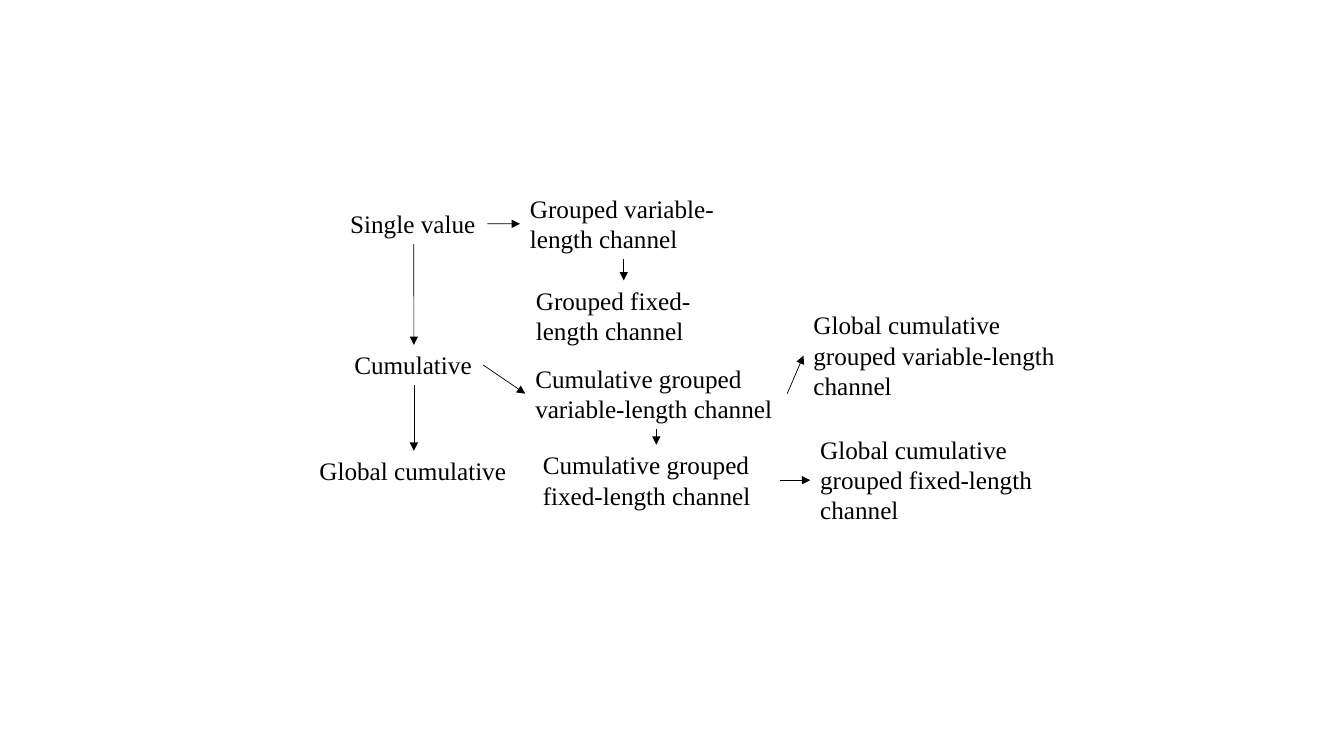
from dataclasses import dataclass

import pptx
import pptx.dml.color
import pptx.enum.shapes
import pptx.enum.text
import pptx.oxml
import pptx.oxml.ns
import pptx.shapes.autoshape
import pptx.slide
import pptx.util

BLACK = pptx.dml.color.RGBColor(0x00, 0x00, 0x00)
FONT = "Times New Roman"
LINE_HEIGHT, PADDING = 0.77, 0.25  # cm
TOP, LEFT, BOTTOM, RIGHT = range(4)  # connection sites


@dataclass
class Concept:
    """A label placed by its centre; lengths in cm."""
    text: str
    center_x: float
    center_y: float
    width: float
    lines: int = 1


@dataclass
class Arrow:
    source: str
    source_side: int
    target: str
    target_side: int


SINGLE_X, GROUPED_X, CUMULATIVE_GROUPED_X = 10.43, 15.72, 16.54  # column centres

CONCEPTS: dict[str, Concept] = {
    "single": Concept("Single value", SINGLE_X, 5.64, 3.71),
    "cumulative": Concept("Cumulative", SINGLE_X, 9.2, 3.5),
    "global": Concept("Global cumulative", SINGLE_X, 11.87, 5.26),
    "variable": Concept("Grouped variable-length channel", GROUPED_X, 5.64, 5.23, 2),
    "fixed": Concept("Grouped fixed-length channel", GROUPED_X, 7.96, 4.93, 2),
    "cumulative variable": Concept(
        "Cumulative grouped variable-length channel", CUMULATIVE_GROUPED_X, 9.92, 6.6, 2),
    "cumulative fixed": Concept(
        "Cumulative grouped fixed-length channel", CUMULATIVE_GROUPED_X, 12.1, 6.22, 2),
    "global variable": Concept(
        "Global cumulative\ngrouped variable-length channel", 23.55, 8.96, 6.6, 3),
    "global fixed": Concept(
        "Global cumulative\ngrouped fixed-length channel", 23.72, 12.1, 6.6, 3),
}

ARROWS: list[Arrow] = [
    Arrow("single", BOTTOM, "cumulative", TOP),
    Arrow("cumulative", BOTTOM, "global", TOP),
    Arrow("single", RIGHT, "variable", LEFT),
    Arrow("cumulative", RIGHT, "cumulative variable", LEFT),
    Arrow("variable", BOTTOM, "fixed", TOP),
    Arrow("cumulative variable", BOTTOM, "cumulative fixed", TOP),
    Arrow("cumulative variable", RIGHT, "global variable", LEFT),
    Arrow("cumulative fixed", RIGHT, "global fixed", LEFT),
]


def draw_concept(slide: pptx.slide.Slide, concept: Concept) -> pptx.shapes.autoshape.Shape:
    height = PADDING * 2 + LINE_HEIGHT * concept.lines - PADDING
    label = slide.shapes.add_textbox(
        pptx.util.Cm(concept.center_x - concept.width / 2),
        pptx.util.Cm(concept.center_y - height / 2),
        pptx.util.Cm(concept.width),
        pptx.util.Cm(height),
    )
    frame = label.text_frame
    frame.word_wrap = concept.lines > 1
    frame.auto_size = pptx.enum.text.MSO_AUTO_SIZE.SHAPE_TO_FIT_TEXT
    frame.text = concept.text
    for paragraph in frame.paragraphs:
        for run in paragraph.runs:
            run.font.name = FONT
            run.font.size = pptx.util.Pt(18)
            run.font.color.rgb = BLACK
    return label


def draw_arrow(
    slide: pptx.slide.Slide,
    arrow: Arrow,
    labels: dict[str, pptx.shapes.autoshape.Shape],
) -> None:
    link = slide.shapes.add_connector(pptx.enum.shapes.MSO_CONNECTOR.STRAIGHT, 0, 0, 0, 0)
    link.begin_connect(labels[arrow.source], arrow.source_side)
    link.end_connect(labels[arrow.target], arrow.target_side)
    link.line.color.rgb = BLACK
    link.line.width = pptx.util.Pt(0.5)
    # Arrowhead at the target, and no theme shadow
    head = pptx.oxml.parse_xml(
        f'<a:tailEnd {pptx.oxml.ns.nsdecls("a")} type="triangle"/>')
    link.line.fill  # line properties exist from here on
    properties = link.element.spPr
    properties.find(pptx.oxml.ns.qn("a:ln")).append(head)
    properties.append(pptx.oxml.parse_xml(f'<a:effectLst {pptx.oxml.ns.nsdecls("a")}/>'))


def main() -> None:
    presentation = pptx.Presentation()
    presentation.slide_width = pptx.util.Cm(33.87)
    presentation.slide_height = pptx.util.Cm(19.05)
    slide = presentation.slides.add_slide(presentation.slide_layouts[6])

    # Labels first, then the arrows that join them
    labels = {key: draw_concept(slide, concept) for key, concept in CONCEPTS.items()}
    for arrow in ARROWS:
        draw_arrow(slide, arrow, labels)

    presentation.save("out.pptx")


if __name__ == "__main__":
    main()
